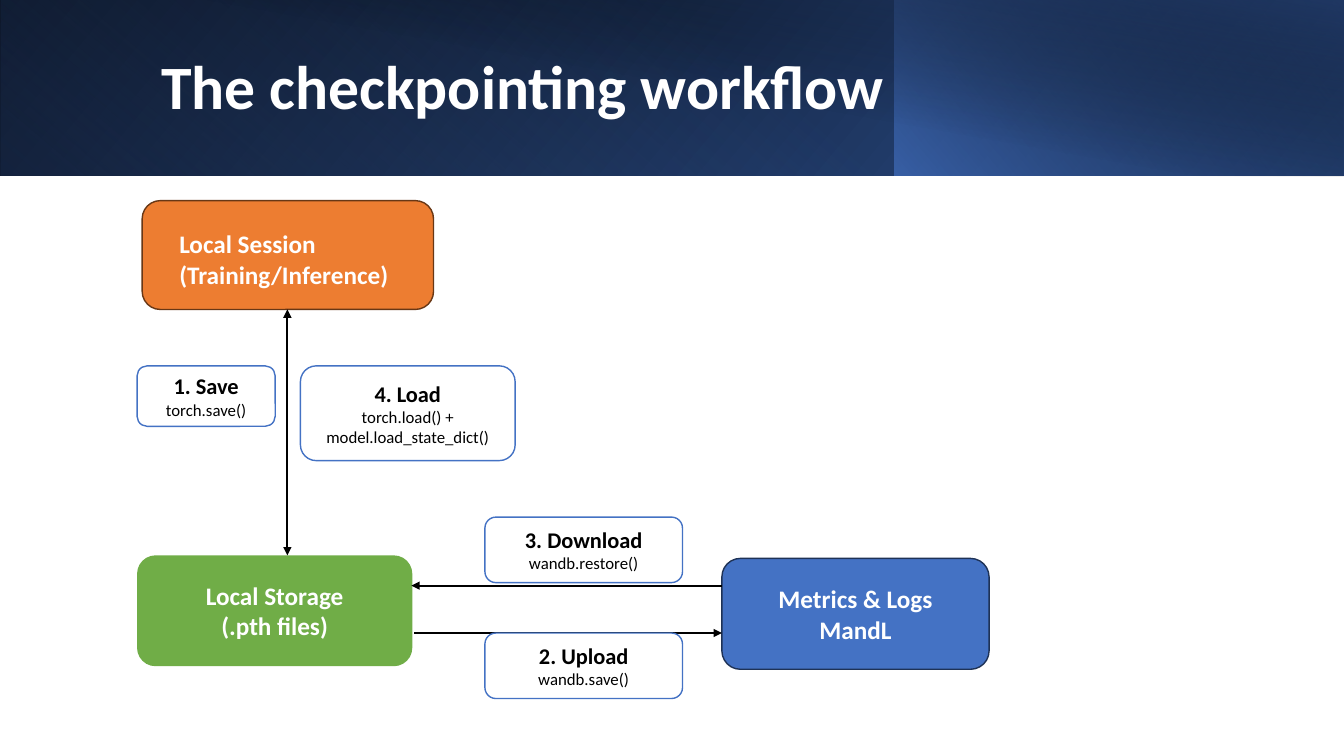
from dataclasses import dataclass
from typing import Any, Optional

from lxml.etree import SubElement
from pptx import Presentation
from pptx.dml.color import RGBColor
from pptx.enum.shapes import MSO_CONNECTOR as Conn, MSO_SHAPE as Shape
from pptx.enum.text import MSO_ANCHOR as Anchor, MSO_AUTO_SIZE as AutoSize, PP_ALIGN as Align
from pptx.oxml.ns import qn
from pptx.util import Inches, Pt


@dataclass(frozen=True)
class Theme:
    font: str = "Calibri"
    white: str = "FFFFFF"
    black: str = "000000"
    blue: str = "4472C4"
    mid_blue: str = "2F5597"
    navy: str = "203864"
    blue_edge: str = "1E3256"
    orange: str = "ED7D31"
    orange_edge: str = "683715"
    green: str = "70AD47"
    title_pt: float = 44
    node_pt: float = 18
    step_pt: float = 16
    code_pt: float = 12
    edge_pt: float = 1
    arrow_pt: float = 1.5


T = Theme()
Box = tuple[float, float, float, float]


@dataclass(frozen=True)
class Stop:
    pos: int
    color: str
    alpha: int = 100


@dataclass(frozen=True)
class Panel:
    box: Box
    angle: int
    stops: tuple[Stop, Stop]
    flip: bool = True
    rotation: int = 0


@dataclass(frozen=True)
class Line:
    text: str
    size: float = T.node_pt
    color: str = T.white
    bold: bool = True


@dataclass(frozen=True)
class Node:
    box: Box
    fill: str
    edge: Optional[str] = None
    lines: tuple[Line, ...] = ()


@dataclass(frozen=True)
class Arrow:
    start: tuple[float, float]
    end: tuple[float, float]
    both_ways: bool = False


def step(box: Box, name: str, code: str) -> Node:
    """White label box with a bold step name above the call it makes."""
    return Node(box, T.white, T.blue, (
        Line(name, T.step_pt, T.black), Line(code, T.code_pt, T.black, False)))


BANNER_H = 1.74
PANELS = (
    Panel((0, 0, 13.33, BANNER_H), 140, (Stop(0, T.black), Stop(100, T.mid_blue))),
    Panel((0, 0, 8.88, BANNER_H), 230, (Stop(20, T.blue, 0), Stop(100, T.navy, 55)), rotation=180),
    Panel((8.87, 0, 4.46, BANNER_H), 220, (Stop(0, T.blue, 66), Stop(100, T.black, 30))),
    Panel((0.5, 0, 12.83, 1.75), 280, (Stop(50, T.black, 0), Stop(99, T.navy, 52)), flip=False),
)
NODES = (
    Node((1.41, 1.99, 2.89, 1.08), T.orange, T.orange_edge),
    Node((1.36, 5.51, 2.73, 1.1), T.green, None, (Line("Local Storage"), Line("(.pth files)"))),
    Node((7.16, 5.54, 2.65, 1.1), T.blue, T.blue_edge, (Line("Metrics & Logs"), Line("MandL"))),
)
SESSION_BOX = (1.68, 2.22, 2.44, 0.71)
SESSION_LINES = (Line("Local Session"), Line("(Training/Inference)"))
ARROWS = (
    Arrow((2.85, 3.07), (2.85, 5.51), both_ways=True),
    Arrow((4.11, 6.28), (7.16, 6.28)),
    Arrow((7.16, 5.81), (4.08, 5.81)),
)
STEPS = (
    step((1.36, 3.63, 1.37, 0.6), "1. Save", "torch.save()"),
    step((2.98, 3.63, 2.13, 0.94), "4. Load", "torch.load() + model.load_state_dict()"),
    step((4.81, 5.13, 1.96, 0.65), "3. Download", "wandb.restore()"),
    step((4.81, 6.28, 1.96, 0.65), "2. Upload", "wandb.save()"),
)


def rgb(color: str) -> RGBColor:
    return RGBColor.from_string(color)


def inches(box: Box) -> list[Inches]:
    return [Inches(v) for v in box]


def apply(target: Any, formats: dict[str, Any]) -> None:
    for name, value in formats.items():
        setattr(target, name, value)


def write(tf: Any, lines: tuple[Line, ...], align: Align, anchor: Anchor) -> None:
    apply(tf, {"word_wrap": True, "auto_size": AutoSize.NONE, "vertical_anchor": anchor})
    for i, line in enumerate(lines):
        p = tf.paragraphs[0] if i == 0 else tf.add_paragraph()
        p.alignment = align
        r = p.add_run()
        r.text = line.text
        apply(r.font, {"name": T.font, "size": Pt(line.size), "bold": line.bold})
        r.font.color.rgb = rgb(line.color)


def add_panel(s: Any, panel: Panel) -> None:
    """Borderless rectangle with a linear gradient that may be see-through."""
    sp = s.shapes.add_shape(Shape.RECTANGLE, *inches(panel.box))
    sp.shadow.inherit = False
    sp.line.fill.background()
    sp.rotation = panel.rotation
    sp.fill.background()
    props = sp.element.spPr
    if panel.flip:
        props.find(qn("a:xfrm")).set("flipH", "1")
    no_fill = props.find(qn("a:noFill"))
    grad = SubElement(props, qn("a:gradFill"), rotWithShape="1")
    props.replace(no_fill, grad)
    stops = SubElement(grad, qn("a:gsLst"))
    for stop in panel.stops:
        gs = SubElement(stops, qn("a:gs"), pos=str(stop.pos * 1000))
        color = SubElement(gs, qn("a:srgbClr"), val=stop.color)
        SubElement(color, qn("a:alpha"), val=str(stop.alpha * 1000))
    SubElement(grad, qn("a:lin"), ang=str(panel.angle * 60000), scaled="0")


def add_node(s: Any, node: Node) -> None:
    sp = s.shapes.add_shape(Shape.ROUNDED_RECTANGLE, *inches(node.box))
    sp.shadow.inherit = False
    sp.fill.solid()
    sp.fill.fore_color.rgb = rgb(node.fill)
    if node.edge:
        sp.line.color.rgb = rgb(node.edge)
        sp.line.width = Pt(T.edge_pt)
    else:
        sp.line.fill.background()
    write(sp.text_frame, node.lines, Align.CENTER, Anchor.MIDDLE)


def add_arrow(s: Any, arrow: Arrow) -> None:
    c = s.shapes.add_connector(Conn.STRAIGHT, *inches(arrow.start + arrow.end))
    c.line.color.rgb = rgb(T.black)
    c.line.width = Pt(T.arrow_pt)
    props = c.element.spPr
    ends = ("a:headEnd", "a:tailEnd") if arrow.both_ways else ("a:tailEnd",)
    for end in ends:
        SubElement(props.find(qn("a:ln")), qn(end), type="triangle")
    SubElement(props, qn("a:effectLst"))


def add_title(s: Any, text: str) -> None:
    """Fill the title placeholder and bring it in front of the banner."""
    title = s.shapes.title
    apply(title, dict(zip(("left", "top", "width", "height"), inches((1.5, 0.32, 10.82, 1.13)))))
    write(title.text_frame, (Line(text, T.title_pt),), Align.LEFT, Anchor.MIDDLE)
    title.text_frame.paragraphs[0].line_spacing = 0.9
    s.shapes.element.append(title.element)


def main() -> None:
    prs = Presentation()
    apply(prs, {"slide_width": Inches(13.33), "slide_height": Inches(7.5)})
    s = prs.slides.add_slide(prs.slide_layouts.get_by_name("Title Only"))
    for panel in PANELS:
        add_panel(s, panel)
    add_title(s, "The checkpointing workflow")
    for node in NODES:
        add_node(s, node)
    for arrow in ARROWS:
        add_arrow(s, arrow)
    session = s.shapes.add_textbox(*inches(SESSION_BOX))
    write(session.text_frame, SESSION_LINES, Align.LEFT, Anchor.TOP)
    for label in STEPS:
        add_node(s, label)
    prs.save("out.pptx")


if __name__ == "__main__":
    main()
